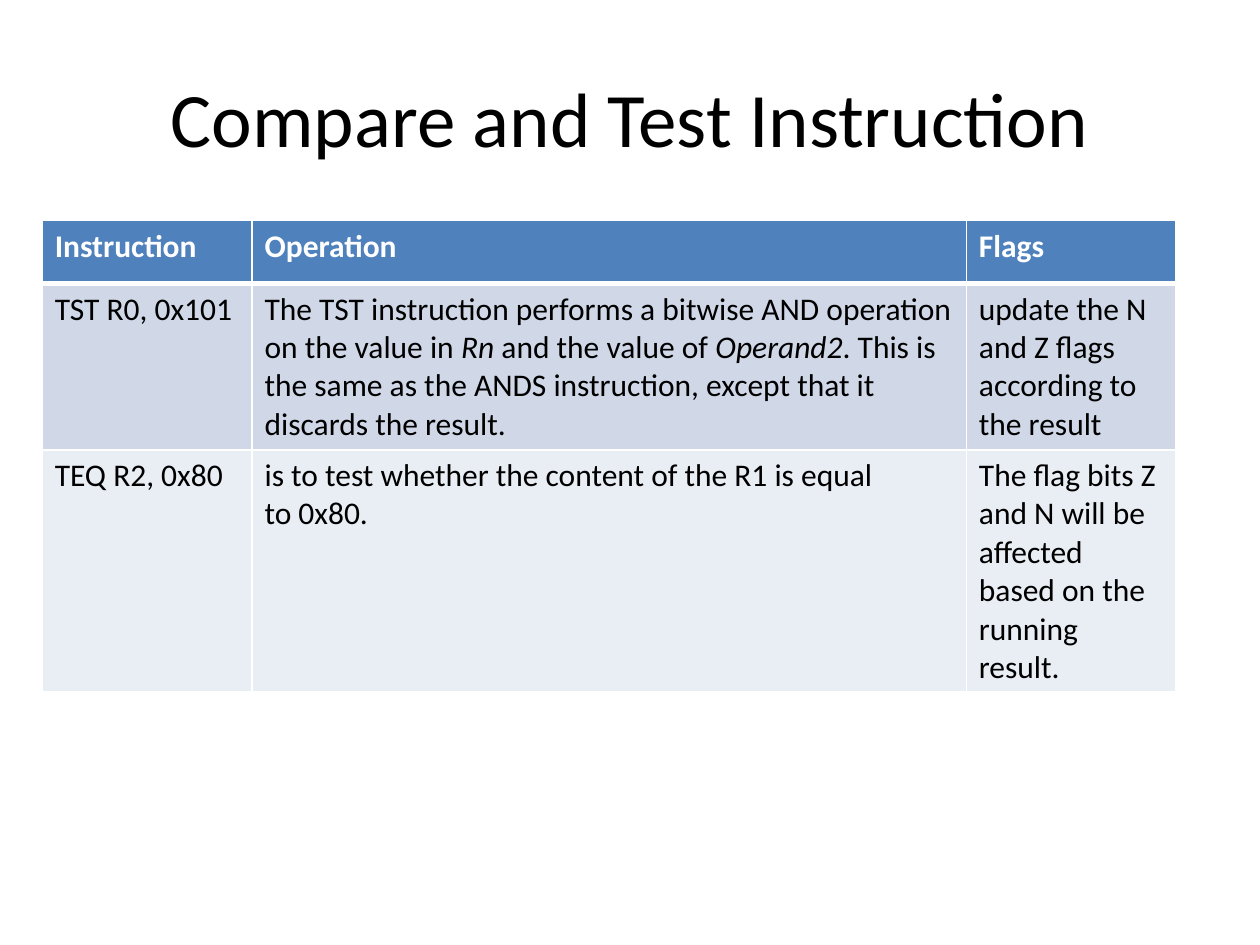
from dataclasses import dataclass

from lxml.etree import SubElement
from pptx import Presentation
from pptx.dml.color import RGBColor as Rgb
from pptx.enum.text import MSO_ANCHOR as Anchor, PP_ALIGN as Align
from pptx.oxml.ns import qn
from pptx.util import Cm, Pt


@dataclass(frozen=True)
class Theme:
    font: str = "Calibri"
    title_size: int = 44
    body_size: int = 18
    dark: str = "000000"
    light: str = "FFFFFF"
    header_fill: str = "4F81BD"
    row_fills: tuple = ("D0D8E8", "E9EDF4")
    thin: int = 1
    thick: int = 3


THEME = Theme()
COLUMN_WIDTHS = (4.23, 14.4, 4.23)
ROW_HEIGHTS = (1.27, 3.35, 4.88)

# Each cell is a list of paragraphs, each paragraph a list of (text, italic)
HEADER = [[[(name, False)]] for name in ("Instruction", "Operation", "Flags")]
ROWS = [
    HEADER,
    [
        [[("TST R0, 0x101", False)]],
        [[
            ("The\u00a0TST\u00a0instruction performs a bitwise AND operation "
             "on the value in\u00a0", False),
            ("Rn", True),
            ("\u00a0and the value of\u00a0", False),
            ("Operand2", True),
            (". This is the same as the\u00a0ANDS\u00a0instruction, "
             "except that it discards the result.", False),
        ]],
        [[("update the N and Z flags according to the result", False)]],
    ],
    [
        [[("TEQ R2, 0x80", False)]],
        [[("is to test whether the content of the R1 is equal", False)],
         [("to 0x80. ", False)]],
        [[("The flag bits Z and N will be affected based on the "
           "running result.", False)]],
    ],
]


def write_text(frame, paragraphs, color, size, bold=False, align=Align.LEFT):
    for index, spans in enumerate(paragraphs):
        para = frame.add_paragraph() if index else frame.paragraphs[0]
        para.alignment = align
        for text, italic in spans:
            span = para.add_run()
            span.text = text
            formats = {"name": THEME.font, "size": Pt(size),
                       "bold": bold, "italic": italic}
            for name, value in formats.items():
                setattr(span.font, name, value)
            span.font.color.rgb = Rgb.from_string(color)


def set_borders(cell, top, bottom):
    properties = cell._tc.get_or_add_tcPr()
    widths = {"lnL": THEME.thin, "lnR": THEME.thin, "lnT": top, "lnB": bottom}
    for side, width in widths.items():
        line = SubElement(properties, qn(f"a:{side}"), w=str(Pt(width)))
        fill = SubElement(line, qn("a:solidFill"))
        SubElement(fill, qn("a:srgbClr"), val=THEME.light)


def add_title(page, text, left, top, width, height):
    box = page.shapes.add_textbox(Cm(left), Cm(top), Cm(width), Cm(height))
    frame = box.text_frame
    for name, value in {"word_wrap": True, "vertical_anchor": Anchor.MIDDLE}.items():
        setattr(frame, name, value)
    write_text(frame, [[(text, False)]], THEME.dark, THEME.title_size,
               align=Align.CENTER)


def add_instruction_table(page, left, top):
    table = page.shapes.add_table(
        len(ROWS), len(COLUMN_WIDTHS), Cm(left), Cm(top),
        Cm(sum(COLUMN_WIDTHS)), Cm(sum(ROW_HEIGHTS))).table
    for column, width in zip(table.columns, COLUMN_WIDTHS):
        column.width = Cm(width)
    for row, height in zip(table.rows, ROW_HEIGHTS):
        row.height = Cm(height)

    for row_index, row in enumerate(ROWS):
        is_header = row_index == 0
        fill = THEME.header_fill if is_header else THEME.row_fills[(row_index - 1) % 2]
        color = THEME.light if is_header else THEME.dark
        # The header is set off by a thick rule, shared with the row below
        top_rule = THEME.thick if row_index == 1 else THEME.thin
        bottom_rule = THEME.thick if is_header else THEME.thin
        for column_index, paragraphs in enumerate(row):
            cell = table.cell(row_index, column_index)
            set_borders(cell, top_rule, bottom_rule)
            cell.fill.solid()
            cell.fill.fore_color.rgb = Rgb.from_string(fill)
            write_text(cell.text_frame, paragraphs, color, THEME.body_size,
                       bold=is_header)


# Deck and page
deck = Presentation()
deck.slide_width, deck.slide_height = Cm(25.4), Cm(19.05)
page = deck.slides.add_slide(deck.slide_layouts[6])

# Title and table
add_title(page, "Compare and Test Instruction", 1.27, 0.76, 22.86, 3.18)
add_instruction_table(page, 0.85, 4.45)

deck.save("out.pptx")
